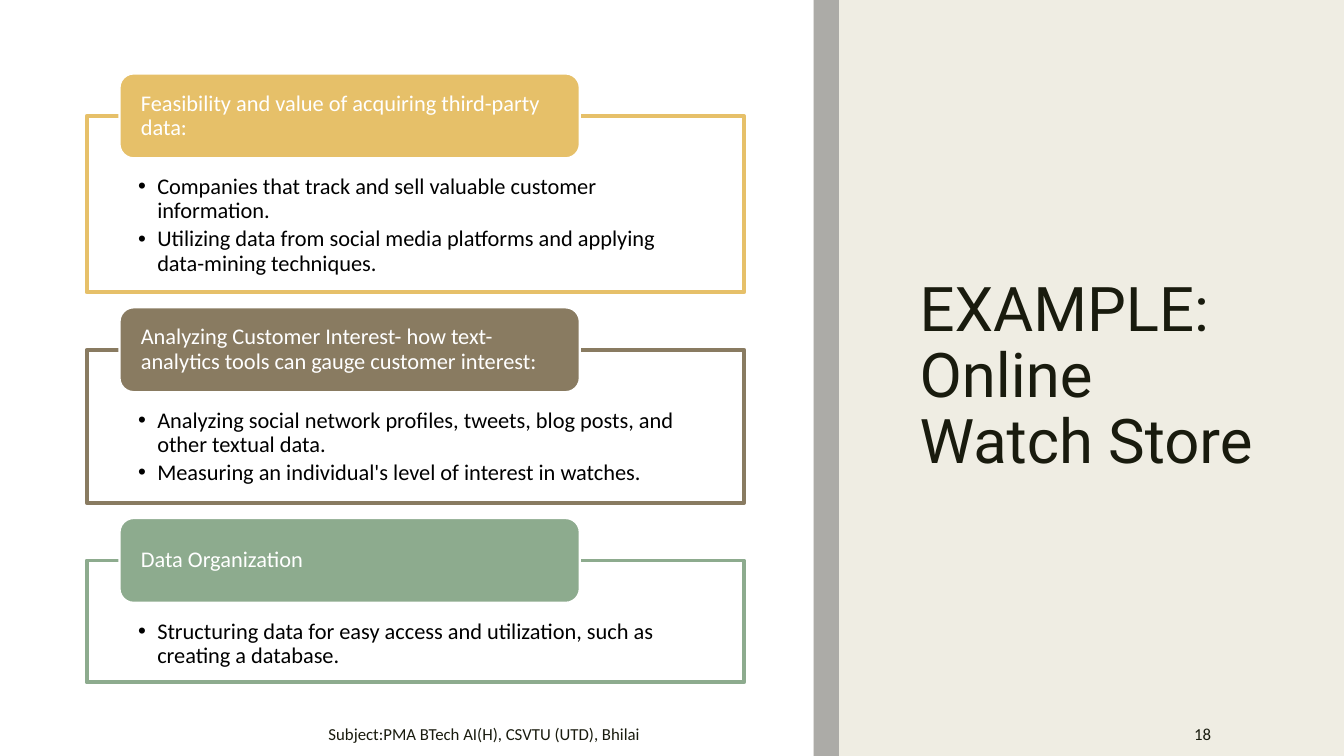
from lxml.etree import SubElement
from pptx import Presentation
from pptx.dml.color import RGBColor
from pptx.enum.shapes import MSO_SHAPE
from pptx.enum.text import MSO_ANCHOR, MSO_AUTO_SIZE, PP_ALIGN
from pptx.oxml.ns import qn
from pptx.util import Inches, Pt

WHITE, INK, SAND = "FFFFFF", "191B0E", "EFEDE3"
WIDTH, HEIGHT = 13.33, 7.5
SPLIT, BAND_W = 8.07, 0.25
LABEL_H, GAP = 0.84, 0.15

TOPICS = [
    ("E6C069", 1.75, "Feasibility and value of acquiring third-party data:",
     ["Companies that track and sell valuable customer information.",
      "Utilizing data from social media platforms and applying data-mining techniques."]),
    ("897B61", 1.52,
     "Analyzing Customer Interest- how text-analytics tools can gauge customer interest:",
     ["Analyzing social network profiles, tweets, blog posts, and other textual data.",
      "Measuring an individual's level of interest in watches."]),
    ("8DAB8E", 1.21, "Data Organization",
     ["Structuring data for easy access and utilization, such as creating a database."]),
]


def rgb(value):
    return RGBColor.from_string(value)


def set_alpha(sp, percent):
    color = sp.fill._xPr.find(qn("a:solidFill"))[0]
    SubElement(color, qn("a:alpha"), val=str(percent * 1000))


def add_box(s, kind, box, fill, line=None, line_pt=0):
    sp = s.shapes.add_shape(kind, *map(Inches, box))
    sp.shadow.inherit = False
    sp.fill.solid()
    sp.fill.fore_color.rgb = rgb(fill)
    if line:
        sp.line.color.rgb = rgb(line)
        sp.line.width = Pt(line_pt)
    else:
        sp.line.fill.background()
    return sp


def set_frame(tf, anchor, insets=(0.1, 0.05, 0.1, 0.05)):
    tf.word_wrap = True
    tf.auto_size = MSO_AUTO_SIZE.NONE
    tf.vertical_anchor = anchor
    tf.margin_left, tf.margin_top, tf.margin_right, tf.margin_bottom = map(Inches, insets)


def add_run(p, text, size, color, font="Calibri", align=PP_ALIGN.LEFT, spacing=None):
    p.alignment = align
    p.line_spacing = spacing
    r = p.add_run()
    r.text = text
    r.font.name, r.font.size = font, Pt(size)
    r.font.color.rgb = rgb(color)


def add_bullet(p):
    pPr = p._p.get_or_add_pPr()
    pPr.set("marL", str(Inches(0.19)))
    pPr.set("indent", str(-Inches(0.19)))
    SubElement(pPr, qn("a:buFont"), typeface="Arial")
    SubElement(pPr, qn("a:buChar"), char="•")


def add_topic(s, x, y, w, h, color, heading, points):
    """Outlined list with a rounded heading straddling its top edge."""
    body = add_box(s, MSO_SHAPE.RECTANGLE, (x, y + LABEL_H / 2, w, h), WHITE, color, 2.75)
    set_alpha(body, 90)
    tf = body.text_frame
    set_frame(tf, MSO_ANCHOR.TOP, (0.51, 0.59, 0.51, 0.12))
    for i, point in enumerate(points):
        p = tf.add_paragraph() if i else tf.paragraphs[0]
        add_run(p, point, 16, "000000", spacing=0.9)
        p.space_after = Pt(2.8)
        add_bullet(p)

    label = add_box(s, MSO_SHAPE.ROUNDED_RECTANGLE,
                    (x + 0.05 * w, y, 0.7 * w, LABEL_H), color, WHITE, 1.5)
    set_frame(label.text_frame, MSO_ANCHOR.MIDDLE, (0.17, 0, 0.17, 0))
    add_run(label.text_frame.paragraphs[0], heading, 16, WHITE, spacing=0.9)


def add_topics(s, x, y, w):
    for color, h, heading, points in TOPICS:
        add_topic(s, x, y, w, h, color, heading, points)
        y += LABEL_H / 2 + h + GAP


def add_title(s, box):
    title = s.shapes.title
    title.left, title.top, title.width, title.height = map(Inches, box)
    set_frame(title.text_frame, MSO_ANCHOR.MIDDLE)
    add_run(title.text_frame.paragraphs[0], "EXAMPLE: Online Watch Store", 44, INK,
            "Roboto", spacing=0.89)


def add_footer_text(s, box, text, align):
    tf = s.shapes.add_textbox(*map(Inches, box)).text_frame
    set_frame(tf, MSO_ANCHOR.MIDDLE)
    add_run(tf.paragraphs[0], text, 12, INK, align=align)


def main():
    prs = Presentation()
    prs.slide_width, prs.slide_height = Inches(WIDTH), Inches(HEIGHT)
    s = prs.slides.add_slide(prs.slide_layouts[5])
    s.background.fill.solid()
    s.background.fill.fore_color.rgb = rgb(SAND)

    add_title(s, (9.02, 0.7, 3.61, 6.1))
    add_box(s, MSO_SHAPE.RECTANGLE, (0, 0, SPLIT, HEIGHT), WHITE)
    band = add_box(s, MSO_SHAPE.RECTANGLE, (SPLIT, 0, BAND_W, HEIGHT), "808080")
    set_alpha(band, 60)
    add_topics(s, 0.86, 0.73, 6.52)
    add_footer_text(s, (3.16, 7.06, 6.87, 0.44),
                    "Subject:PMA BTech AI(H), CSVTU (UTD), Bhilai", PP_ALIGN.LEFT)
    add_footer_text(s, (10.36, 7.06, 1.75, 0.44), "18", PP_ALIGN.RIGHT)
    prs.save("out.pptx")


if __name__ == "__main__":
    main()
